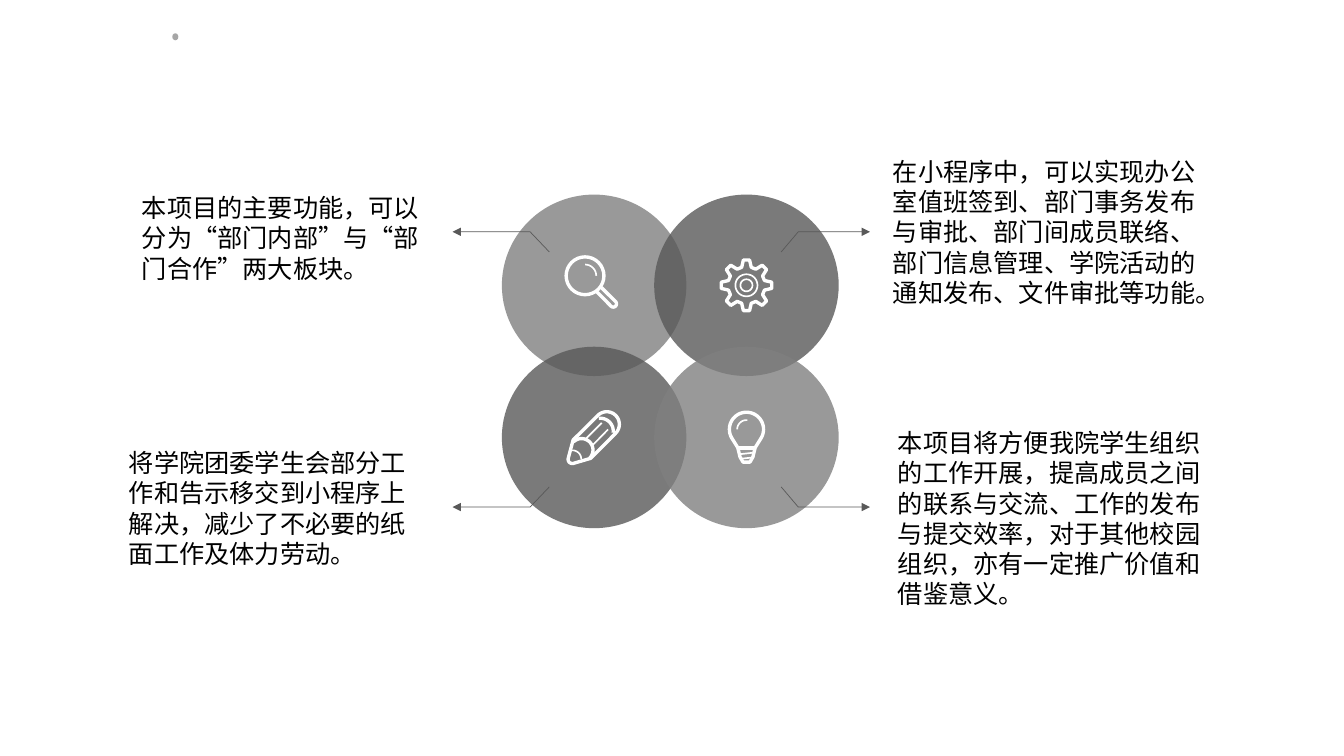
from math import cos, radians, sin

from lxml.etree import SubElement
from pptx import Presentation
from pptx.dml.color import RGBColor
from pptx.enum.shapes import MSO_SHAPE as Preset
from pptx.enum.text import MSO_AUTO_SIZE as AutoSize
from pptx.oxml.ns import qn
from pptx.util import Pt

BLACK = RGBColor(0x00, 0x00, 0x00)
WHITE = RGBColor(0xFF, 0xFF, 0xFF)
PALE = RGBColor(0xA6, 0xA6, 0xA6)
GRAY = RGBColor(0x80, 0x80, 0x80)
DARK = RGBColor(0x59, 0x59, 0x59)
CJK_FONT = "Noto Sans CJK SC"
LATIN_FONT = "Calibri"

CIRCLE_WIDTH, CIRCLE_HEIGHT = 131.8, 129.6
COLUMNS = (424.4, 533.2)
ROWS = (203.8, 312.5)
ARROW_XS = ((392.4, 378.7, 323.3), (558, 570.2, 621.4))
ARROW_YS = ((180, 165.6, 165.6), (347.8, 362.2, 362.2))
BOLD, FINE = 2.4, 1.2

NOTES = (
    ((94.3, 133.9, 215.3, 72.7),
     "本项目的主要功能，可以分为“部门内部”与“部门合作”两大板块。", ""),
    ((85, 316.1, 219.6, 94.3),
     "将学院团委学生会部分工作和告示移交到小程序上解决，减少了不必要的纸面工作及体力劳动。", ""),
    ((630.7, 108, 231.8, 116.6),
     "在小程序中，可以实现办公室值班签到、部门事务发布与审批、部门间成员联络、"
     "部门信息管理、学院活动的通知发布、文件审批等功能", "。"),
    ((634.3, 301.7, 231.1, 138.2),
     "本项目将方便我院学生组织的工作开展，提高成员之间的联系与交流、工作的发布与提交效率，"
     "对于其他校园组织，亦有一定推广价值和借鉴意义。", ""),
)


def arc(x, y, radius, start, end, steps=32):
    angles = [radians(start + (end - start) * step / steps) for step in range(steps + 1)]
    return [(x + radius * cos(angle), y + radius * sin(angle)) for angle in angles]


def add_stroke(page, center, points, color, weight, close=False):
    places = [(Pt(center[0] + x), Pt(center[1] + y)) for x, y in points]
    builder = page.shapes.build_freeform(*places[0])
    builder.add_line_segments(places[1:], close=close)
    stroke = builder.convert_to_shape()
    stroke.shadow.inherit = False
    stroke.fill.background()
    stroke.line.color.rgb = color
    stroke.line.width = Pt(weight)
    return stroke


def add_disc(page, box, color, alpha=100):
    disc = page.shapes.add_shape(Preset.OVAL, *map(Pt, box))
    disc.shadow.inherit = False
    disc.line.fill.background()
    disc.fill.solid()
    disc.fill.fore_color.rgb = color
    if alpha < 100:
        tint = disc.fill._xPr.find(".//" + qn("a:srgbClr"))
        SubElement(tint, qn("a:alpha"), val=str(alpha * 1000))


def add_arrow(page, xs, ys):
    arrow = add_stroke(page, (0, 0), list(zip(xs, ys)), DARK, 0.5)
    SubElement(arrow.line._get_or_add_ln(), qn("a:tailEnd"), type="triangle")


def magnifier():
    handle = [(4.9, 1.3), (15.3, 11.7), *arc(13.7, 13.3, 2.3, -45, 135), (1.7, 4.5)]
    return [
        (arc(-6.5, -6.8, 13.5, 0, 360), BOLD, True),
        (handle, BOLD, False),
        (arc(-6.5, -6.8, 8, -90, 0), FINE, False),
    ]


def gear():
    corners = ((-15, 13.3), (-7, 18.2), (7, 18.2), (15, 13.3))
    rim = [(radius * cos(radians(tooth * 45 + turn)), radius * sin(radians(tooth * 45 + turn)))
           for tooth in range(8) for turn, radius in corners]
    return [
        (rim, BOLD, True),
        (arc(0, 0, 7.9, 0, 360), FINE, True),
        (arc(0, 0, 4.3, 0, 360), FINE, True),
    ]


def pencil():
    body = [(-15, 1.8), *arc(9, -9.4, 9, -135, 45), (-2.5, 14.9),
            *arc(-15.6, 15.6, 3, 75, 195)]
    return [
        (body, BOLD, True),
        (arc(4.5, -4.5, 9.2, -97, 7), BOLD, False),
        (arc(-9, 9, 8.2, -135, 45), BOLD, False),
        (arc(-15.5, 15.5, 6.3, -100, 0), FINE, False),
        ([(-6.1, 1.1), (5.4, -10.4)], FINE, False),
        ([(-1.4, 5.8), (10, -5.8)], FINE, False),
    ]


def bulb():
    glass = [*arc(0, -5.8, 12.2, 150, 390), (6.2, 7.3), (4.6, 14), (2.5, 17.6),
             (-2.5, 17.6), (-4.6, 14), (-6.2, 7.3)]
    return [
        (glass, BOLD, True),
        ([(-6, 7.6), (6, 7.6)], BOLD, False),
        ([(-4.5, 11.9), (4.5, 10.9)], FINE, False),
        ([(-3.5, 15.2), (3.5, 14.4)], FINE, False),
        (arc(0, -5.8, 6.6, 180, 275), FINE, False),
    ]


def add_circles(page):
    cells = [(column, row) for row in range(2) for column in range(2)]
    for column, row in cells:
        box = (COLUMNS[column] - CIRCLE_WIDTH / 2, ROWS[row] - CIRCLE_HEIGHT / 2,
               CIRCLE_WIDTH, CIRCLE_HEIGHT)
        add_disc(page, box, GRAY if column == row else DARK, 80)
    for (column, row), icon in zip(cells, (magnifier, gear, pencil, bulb)):
        add_arrow(page, ARROW_XS[column], ARROW_YS[row])
        for points, weight, close in icon():
            add_stroke(page, (COLUMNS[column], ROWS[row]), points, WHITE, weight, close)


def add_note(page, box, text, ending):
    frame = page.shapes.add_textbox(*map(Pt, box)).text_frame
    frame.word_wrap = True
    frame.auto_size = AutoSize.SHAPE_TO_FIT_TEXT
    frame.text = text
    para = frame.paragraphs[0]
    if ending:
        para.add_run().text = ending
    for span, name in zip(para.runs, (CJK_FONT, LATIN_FONT)):
        span.font.size = Pt(18)
        span.font.color.rgb = BLACK
        span.font.name = name
        SubElement(span.font._element, qn("a:ea"), typeface=name)


def main():
    deck = Presentation()
    deck.slide_width, deck.slide_height = Pt(960), Pt(540)
    page = deck.slides.add_slide(deck.slide_layouts[6])
    add_disc(page, (123.1, 23.8, 4.3, 5), PALE)
    add_circles(page)
    for box, text, ending in NOTES:
        add_note(page, box, text, ending)
    deck.save("out.pptx")


if __name__ == "__main__":
    main()
